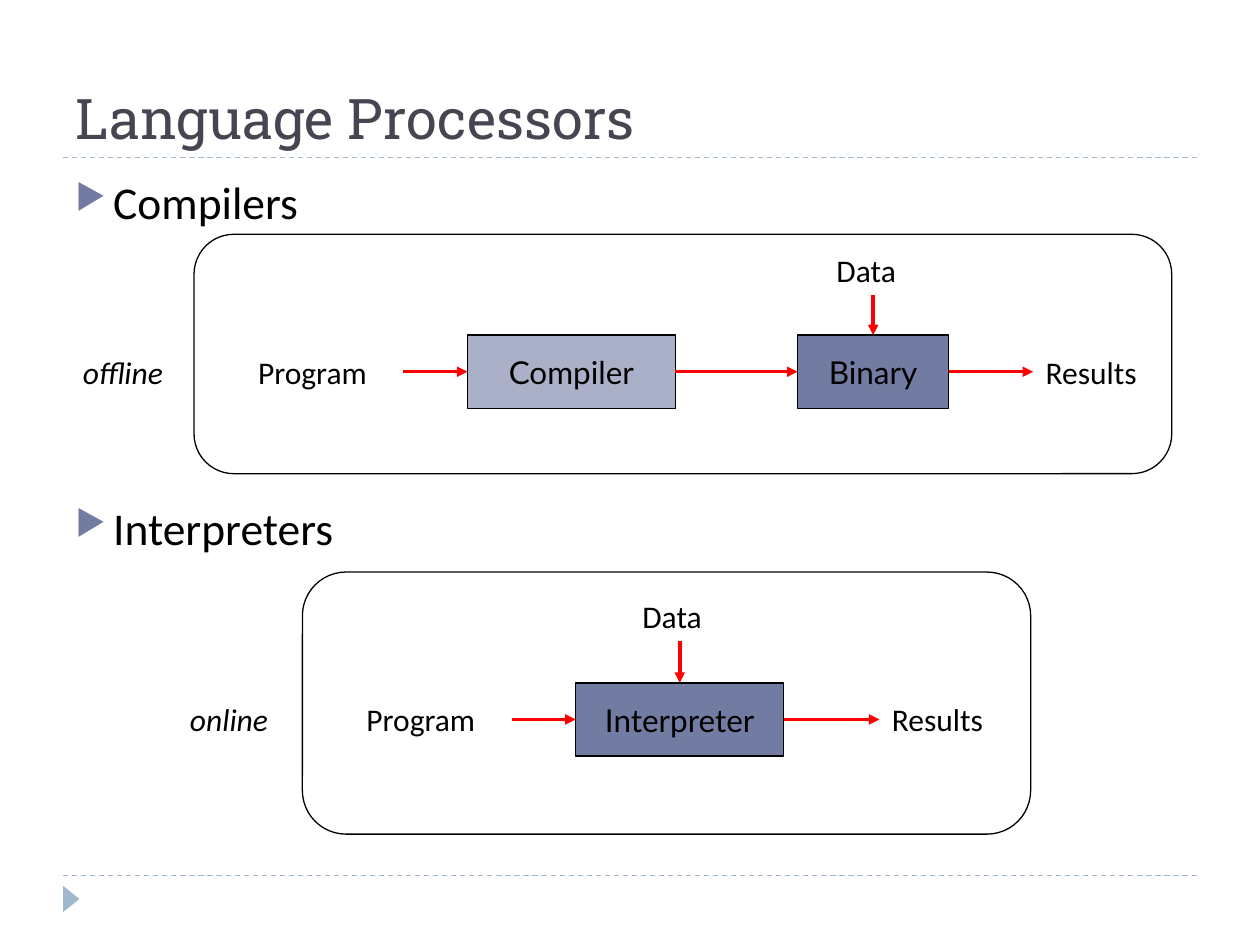
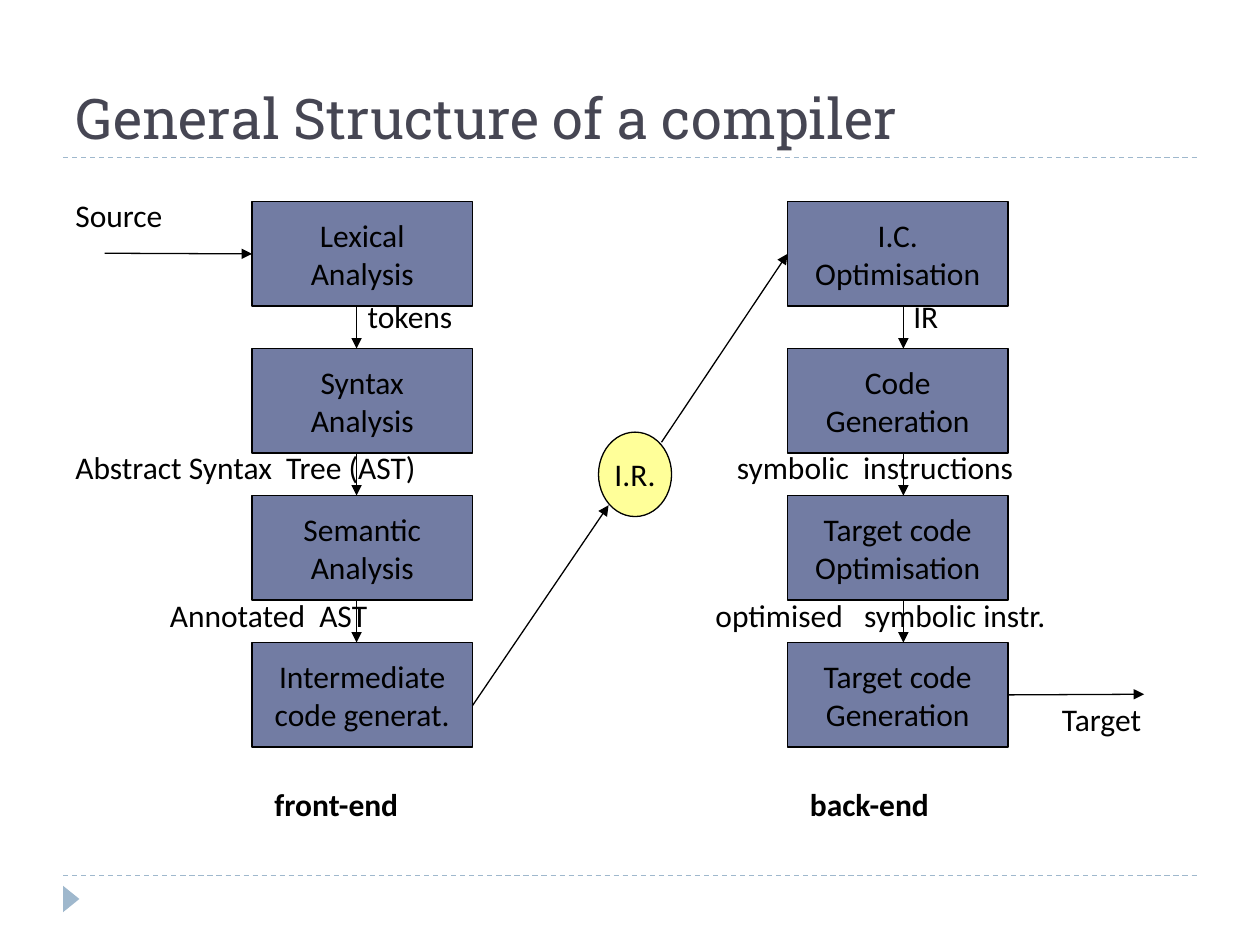
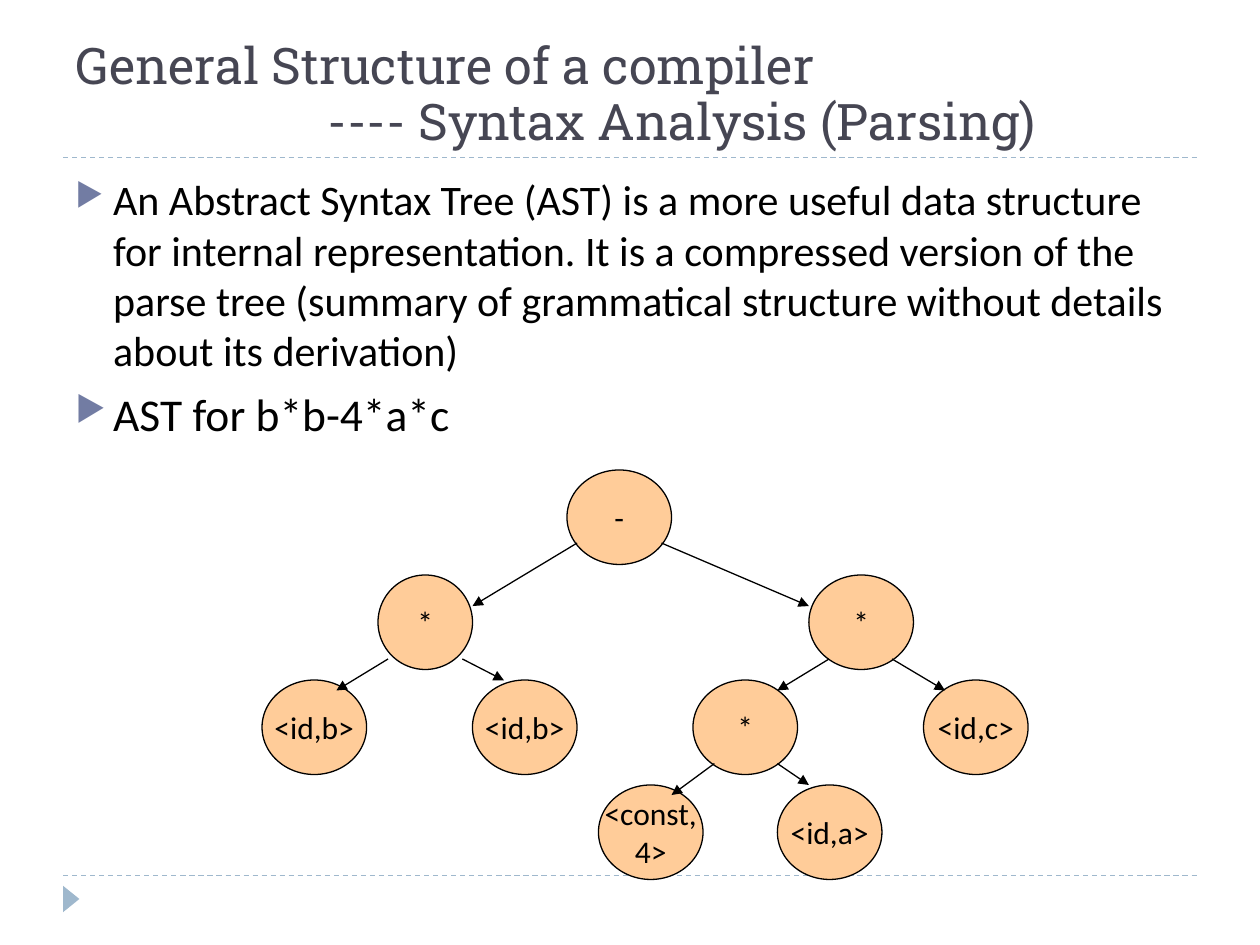
"""Build three slides on language processors and the structure of a compiler."""
import lxml.etree
import pptx
import pptx.dml.color
import pptx.enum.dml
import pptx.enum.shapes
import pptx.enum.text
import pptx.oxml.ns
import pptx.util

Inches = pptx.util.Inches
Pt = pptx.util.Pt
RGBColor = pptx.dml.color.RGBColor
SHAPE = pptx.enum.shapes.MSO_SHAPE
ALIGN = pptx.enum.text.PP_ALIGN
ANCHOR = pptx.enum.text.MSO_ANCHOR
qn = pptx.oxml.ns.qn

BLACK = RGBColor(0x00, 0x00, 0x00)
RED = RGBColor(0xFF, 0x00, 0x00)
INK = RGBColor(0x46, 0x46, 0x53)
SLATE = RGBColor(0x72, 0x7C, 0xA3)
PALE_SLATE = RGBColor(0xAA, 0xB0, 0xC8)
SKY = RGBColor(0x9F, 0xB8, 0xCD)
YELLOW = RGBColor(0xFF, 0xFF, 0x99)
PEACH = RGBColor(0xFF, 0xCC, 0x99)

TITLE_FONT, BODY_FONT, STAGE_FONT = "Roboto Slab", "Calibri", "Lato"
TOP, LEFT, RIGHT = 0, 1, 3
LABEL_HEIGHT = 0.4

PROCESSORS_TITLE = [("Language Processors", 0)]
PROCESSORS_POINTS = [("Compilers", 26, 6), ("Interpreters", 26, 155)]
PIPELINES = [
    {"mode": ("offline", 0.56), "row": 2.95, "program": 1.95, "results": 8.2,
     "data": (6.54, 1.94), "frame": (1.54, 1.86, 7.76, 1.9),
     "stages": [("Compiler", 3.71, 1.65, PALE_SLATE), ("Binary", 6.33, 1.2, SLATE)]},
    {"mode": ("online", 1.41), "row": 5.71, "program": 2.81, "results": 6.98,
     "data": (5, 4.69), "frame": (2.4, 4.54, 5.78, 2.08),
     "stages": [("Interpreter", 4.57, 1.65, SLATE)]},
]
STAGE_HEIGHT, PROGRAM_WIDTH = 0.58, 1.25

STRUCTURE_TITLE = [("General Structure of a compiler", 0)]
ENDS = [
    {"name": ("front-end", 2.08), "left": 2, "axis": 2.83,
     "phases": [("Lexical", "Analysis"), ("Syntax", "Analysis"),
                ("Semantic", "Analysis"), ("Intermediate", "code generat.")],
     "links": [("tokens", 2.82, 1), ("Abstract Syntax  Tree (AST)", 0.5, 3.44),
               ("Annotated  AST", 1.25, 2.1)]},
    {"name": ("back-end", 6.33), "left": 6.25, "axis": 7.17,
     "phases": [("I.C.", "Optimisation"), ("Code", "Generation"),
                ("Target code", "Optimisation"), ("Target code", "Generation")],
     "links": [("IR", 7.15, 0.5), ("symbolic  instructions", 5.75, 2.83),
               ("optimised   symbolic instr.", 5.58, 3.35)]},
]
LINK_TOPS = (2.31, 3.51, 4.68)
PHASE_TOP, PHASE_STEP, PHASE_WIDTH, PHASE_HEIGHT = 1.6, 3.5 / 3, 1.75, 0.83

PARSING_TITLE = [("General Structure of a compiler", 0),
                 ("---- Syntax Analysis (Parsing)", 2)]
PARSING_POINTS = [
    ("An Abstract Syntax Tree (AST) is a more useful data structure for internal "
     "representation. It is a compressed version of the parse tree (summary of "
     "grammatical structure without details about its derivation)", 24, 6),
    ("AST for b*b-4*a*c", 26, 6),
]
TREE_LEVELS = [
    [(("-",), 4.5, 0.83)],
    [(("*",), 3, 0.75), (("*",), 6.42, 0.83)],
    [(("<id,b>",), 2.08, 0.83), (("<id,b>",), 3.75, 0.83),
     (("*",), 5.5, 0.83), (("<id,c>",), 7.33, 0.83)],
    [(("<const,", "4>"), 4.75, 0.83), (("<id,a>",), 6.17, 0.83)],
]
BRANCHES = [
    ((4.58, 4.31), (3.75, 4.81)), ((5.25, 4.31), (6.42, 4.81)),
    ((3.08, 5.23), (2.67, 5.48)), ((3.67, 5.23), (4, 5.4)),
    ((6.58, 5.23), (6.17, 5.48)), ((7.08, 5.23), (7.5, 5.48)),
    ((5.67, 6.06), (5.33, 6.31)), ((6.17, 6.06), (6.42, 6.23)),
]
TREE_TOP, LEVEL_STEP, NODE_HEIGHT = 3.73, 2.5 / 3, 0.75


def add_run(paragraph, text, size=18, font=BODY_FONT, color=BLACK, bold=False, italic=False):
    run = paragraph.add_run()
    run.text = text
    run.font.size = Pt(size)
    run.font.name = font
    run.font.color.rgb = color
    run.font.bold = bold
    run.font.italic = italic


def paragraphs_for(frame, items):
    for index, item in enumerate(items):
        yield (frame.add_paragraph() if index else frame.paragraphs[0]), item


def add_node(slide, preset, place, fill=None, lines=(), font=BODY_FONT):
    node = slide.shapes.add_shape(preset, *map(Inches, place))
    node.shadow.inherit = False
    if fill is None:
        node.fill.background()
    else:
        node.fill.solid()
        node.fill.fore_color.rgb = fill
    node.line.color.rgb = BLACK
    node.line.width = Pt(0.75)
    frame = node.text_frame
    frame.word_wrap = False
    frame.vertical_anchor = ANCHOR.MIDDLE
    for paragraph, line in paragraphs_for(frame, lines):
        paragraph.alignment = ALIGN.CENTER
        add_run(paragraph, line, font=font)
    return node


def add_label(slide, text, left, top, width, **style):
    label = slide.shapes.add_textbox(*map(Inches, (left, top, width, LABEL_HEIGHT)))
    label.text_frame.word_wrap = True
    add_run(label.text_frame.paragraphs[0], text, **style)


def add_line(slide, start, end, color=BLACK, width=0.75, dash=None):
    line = slide.shapes.add_connector(
        pptx.enum.shapes.MSO_CONNECTOR.STRAIGHT, *map(Inches, (*start, *end)))
    line.line.color.rgb = color
    line.line.width = Pt(width)
    if dash:
        line.line.dash_style = dash
    lxml.etree.SubElement(line._element.spPr, qn("a:effectLst"))
    return line


def add_arrow(slide, start, end, source=None, target=None, **style):
    arrow = add_line(slide, start, end, **style)
    outline = arrow._element.spPr.find(qn("a:ln"))
    lxml.etree.SubElement(outline, qn("a:tailEnd"), type="triangle")
    if source:
        arrow.begin_connect(*source)
    if target:
        arrow.end_connect(*target)


def add_points(slide, points):
    body = slide.shapes.add_textbox(*map(Inches, (0.5, 1.33, 9, 5.4)))
    body.text_frame.word_wrap = True
    for paragraph, (text, size, gap) in paragraphs_for(body.text_frame, points):
        paragraph.space_before = Pt(gap)
        properties = paragraph._p.get_or_add_pPr()
        properties.set("marL", str(Inches(0.3)))
        properties.set("indent", str(Inches(-0.3)))
        bullet_color = lxml.etree.SubElement(properties, qn("a:buClr"))
        lxml.etree.SubElement(bullet_color, qn("a:srgbClr"), val=str(SLATE))
        lxml.etree.SubElement(properties, qn("a:buSzPct"), val="76000")
        lxml.etree.SubElement(properties, qn("a:buChar"), char="▶")
        add_run(paragraph, text, size)


def start_slide(deck, title_lines, size=32, spacing=1.0):
    slide = deck.slides.add_slide(deck.slide_layouts[5])
    for height in (6.95, 1.25):
        add_line(slide, (0.5, height), (9.5, height), SKY,
                 dash=pptx.enum.dml.MSO_LINE.DASH)
    marker = slide.shapes.add_shape(
        SHAPE.ISOSCELES_TRIANGLE, *map(Inches, (0.46, 7.07, 0.21, 0.13)))
    marker.rotation = 90
    marker.shadow.inherit = False
    marker.fill.solid()
    marker.fill.fore_color.rgb = SKY
    marker.line.fill.background()

    title = slide.shapes.title
    title.left, title.top, title.width, title.height = map(Inches, (0.5, 0.17, 9, 1.08))
    frame = title.text_frame
    frame.auto_size = pptx.enum.text.MSO_AUTO_SIZE.NONE
    frame.word_wrap = True
    frame.vertical_anchor = ANCHOR.BOTTOM
    for paragraph, (text, indent) in paragraphs_for(frame, title_lines):
        paragraph.alignment = ALIGN.LEFT
        paragraph.line_spacing = spacing
        paragraph.space_before = Pt(0)
        paragraph._p.get_or_add_pPr().set("marL", str(Inches(indent)))
        add_run(paragraph, text, size, TITLE_FONT, INK)
    return slide


def add_pipeline(slide, pipeline):
    row = pipeline["row"]
    label_top = row - LABEL_HEIGHT / 2
    mode, mode_left = pipeline["mode"]
    data_left, data_top = pipeline["data"]
    add_label(slide, mode, mode_left, label_top, 0.97, italic=True)
    add_label(slide, "Program", pipeline["program"], label_top, PROGRAM_WIDTH)
    add_label(slide, "Results", pipeline["results"], label_top, PROGRAM_WIDTH)
    add_label(slide, "Data", data_left, data_top, 0.79)

    flow = {"color": RED, "width": 2}
    source, exit_x = None, pipeline["program"] + PROGRAM_WIDTH
    for name, left, width, fill in pipeline["stages"]:
        place = (left, row - STAGE_HEIGHT / 2, width, STAGE_HEIGHT)
        stage = add_node(slide, SHAPE.RECTANGLE, place, fill, [name], STAGE_FONT)
        add_arrow(slide, (exit_x, row), (left, row), source, (stage, LEFT), **flow)
        source, exit_x = (stage, RIGHT), left + width
    add_arrow(slide, (exit_x, row), (pipeline["results"], row), source, **flow)
    middle = left + width / 2
    add_arrow(slide, (middle, data_top + LABEL_HEIGHT), (middle, row - STAGE_HEIGHT / 2),
              target=(stage, TOP), **flow)
    add_node(slide, SHAPE.ROUNDED_RECTANGLE, pipeline["frame"])


def add_end(slide, end):
    tops = [PHASE_TOP + PHASE_STEP * index for index in range(len(end["phases"]))]
    phases = [add_node(slide, SHAPE.RECTANGLE,
                       (end["left"], top, PHASE_WIDTH, PHASE_HEIGHT), SLATE, lines)
              for top, lines in zip(tops, end["phases"])]
    for above, below in zip(tops, tops[1:]):
        add_arrow(slide, (end["axis"], above + PHASE_HEIGHT), (end["axis"], below))
    for top, (text, left, width) in zip(LINK_TOPS, end["links"]):
        add_label(slide, text, left, top, width)
    name, left = end["name"]
    add_label(slide, name, left, 6.18, 1.42, bold=True)
    return phases


def build_processors(deck):
    slide = start_slide(deck, PROCESSORS_TITLE)
    add_points(slide, PROCESSORS_POINTS)
    for pipeline in PIPELINES:
        add_pipeline(slide, pipeline)


def build_structure(deck):
    slide = start_slide(deck, STRUCTURE_TITLE)
    front, back = [add_end(slide, end) for end in ENDS]
    add_node(slide, SHAPE.OVAL, (4.75, 3.43, 0.58, 0.67), YELLOW, ["I.R."])
    add_arrow(slide, (0.83, 2.01), (2, 2.01), target=(front[0], LEFT))
    add_arrow(slide, (3.75, 5.6), (4.83, 4.01))
    add_arrow(slide, (5.25, 3.51), (6.25, 2.01), target=(back[0], LEFT))
    add_arrow(slide, (8, 5.51), (9.08, 5.51), source=(back[-1], RIGHT))
    add_label(slide, "Source", 0.5, 1.51, 1.03)
    add_label(slide, "Target", 8.33, 5.51, 0.95)


def build_parsing(deck):
    slide = start_slide(deck, PARSING_TITLE, 28.8, 0.92)
    add_points(slide, PARSING_POINTS)
    for depth, level in enumerate(TREE_LEVELS):
        for lines, left, width in level:
            place = (left, TREE_TOP + LEVEL_STEP * depth, width, NODE_HEIGHT)
            add_node(slide, SHAPE.OVAL, place, PEACH, lines)
    for parent, child in BRANCHES:
        add_arrow(slide, parent, child)


def main():
    deck = pptx.Presentation()
    deck.slide_width, deck.slide_height = Inches(10), Inches(7.5)
    build_processors(deck)
    build_structure(deck)
    build_parsing(deck)
    deck.save("out.pptx")


if __name__ == "__main__":
    main()
